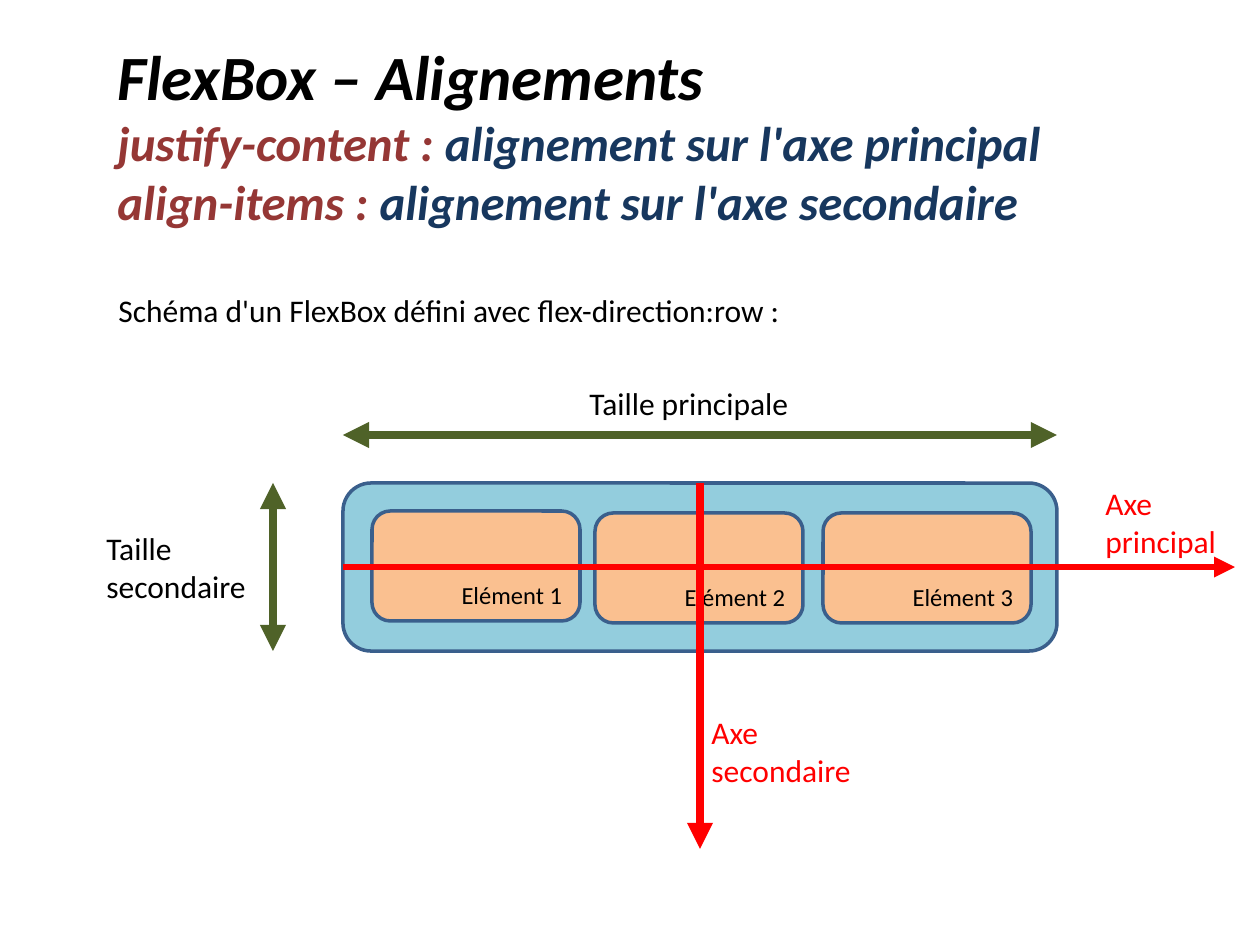
from dataclasses import dataclass
from typing import Optional

from lxml.etree import SubElement
from pptx import Presentation
from pptx.dml.color import RGBColor
from pptx.enum.shapes import MSO_CONNECTOR as CONN, MSO_SHAPE as SHAPE
from pptx.enum.text import MSO_ANCHOR as ANCHOR, PP_ALIGN as ALIGN
from pptx.oxml.ns import qn
from pptx.util import Emu, Pt

PX = 914400 / 126
FONT = "Calibri"
COLORS = {
    "black": "000000", "maroon": "953735", "navy": "17375E", "red": "FF0000",
    "olive": "4F6228", "sky": "93CDDD", "peach": "FAC090", "border": "3A5F8C",
}


@dataclass
class Label:
    text: str
    x: int
    y: int
    w: int
    h: int
    color: str = "black"


@dataclass
class Box:
    x: int
    y: int
    w: int
    h: int
    fill: str
    text: str = ""


@dataclass
class Arrow:
    x1: int
    y1: int
    x2: int
    y2: int
    color: str
    width: int
    double: bool = False
    side: Optional[int] = None


CONTAINER = Box(343, 483, 714, 168, "sky")
ITEMS = [
    Box(x, y, 208, 110, "peach", f"Elément {i}")
    for i, (x, y) in enumerate([(372, 511), (595, 513), (823, 513)], 1)
]
AXES = [
    Arrow(343, 567, 1235, 567, "red", 4, side=1),
    Arrow(700, 483, 700, 849, "red", 5, side=0),
]
SIZES = [
    Arrow(343, 435, 1057, 435, "olive", 5, double=True),
    Arrow(273, 483, 273, 651, "olive", 5, double=True),
]
LABELS = [
    Label("Schéma d'un FlexBox défini avec flex-direction:row :", 106, 285, 1042, 51),
    Label("Axe principal", 1093, 478, 149, 89, "red"),
    Label("Axe secondaire", 699, 707, 197, 89, "red"),
    Label("Taille principale", 577, 378, 394, 51),
    Label("Taille secondaire", 94, 523, 179, 89),
]
TITLE = [
    (36, [("FlexBox – Alignements", "black")]),
    (27.9, [("justify-content : ", "maroon"), ("alignement sur l'axe principal", "navy")]),
    (27.9, [("align-items : ", "maroon"), ("alignement sur l'axe secondaire", "navy")]),
]


def px(*values: int) -> list:
    return [Emu(round(v * PX)) for v in values]


def rgb(name: str) -> RGBColor:
    return RGBColor.from_string(COLORS[name])


def style(font, size: float, color: Optional[str] = None) -> None:
    font.name, font.size = FONT, Pt(size)
    if color:
        font.color.rgb = rgb(color)


def add_title(s) -> None:
    tf = s.shapes.add_textbox(*px(105, 37, 1113, 247)).text_frame
    tf.word_wrap = True
    tf.margin_top = 0
    for i, (size, runs) in enumerate(TITLE):
        p = tf.add_paragraph() if i else tf.paragraphs[0]
        style(p.font, size)
        p.font.bold = p.font.italic = True
        for text, color in runs:
            r = p.add_run()
            r.text = text
            r.font.color.rgb = rgb(color)


def add_label(s, label: Label) -> None:
    tf = s.shapes.add_textbox(*px(label.x, label.y, label.w, label.h)).text_frame
    tf.word_wrap = True
    p = tf.paragraphs[0]
    p.text = label.text
    style(p.font, 18, label.color)


def add_box(s, box: Box):
    sp = s.shapes.add_shape(SHAPE.ROUNDED_RECTANGLE, *px(box.x, box.y, box.w, box.h))
    sp.shadow.inherit = False
    sp.fill.solid()
    sp.fill.fore_color.rgb = rgb(box.fill)
    sp.line.color.rgb = rgb("border")
    sp.line.width = Pt(2)
    if box.text:
        tf = sp.text_frame
        tf.vertical_anchor = ANCHOR.BOTTOM
        p = tf.paragraphs[0]
        p.text = box.text
        p.alignment = ALIGN.RIGHT
        style(p.font, 14, "black")
    return sp


def add_arrow(s, arrow: Arrow, start=None) -> None:
    cx = s.shapes.add_connector(
        CONN.STRAIGHT, *px(arrow.x1, arrow.y1, arrow.x2, arrow.y2))
    if start is not None:
        cx.begin_connect(start, arrow.side)
    cx.line.color.rgb = rgb(arrow.color)
    cx.line.width = Pt(arrow.width)
    ln = cx.line._get_or_add_ln()
    for tag in ("a:headEnd", "a:tailEnd") if arrow.double else ("a:tailEnd",):
        SubElement(ln, qn(tag), type="triangle")
    SubElement(cx._element.spPr, qn("a:effectLst"))


def main() -> None:
    """Build the FlexBox alignment slide."""
    prs = Presentation()
    prs.slide_width, prs.slide_height = px(1260, 945)
    s = prs.slides.add_slide(prs.slide_layouts[6])
    add_title(s)
    container = add_box(s, CONTAINER)
    for item in ITEMS:
        add_box(s, item)
    for axis in AXES:
        add_arrow(s, axis, container)
    for size in SIZES:
        add_arrow(s, size)
    for label in LABELS:
        add_label(s, label)
    prs.save("out.pptx")


if __name__ == "__main__":
    main()
